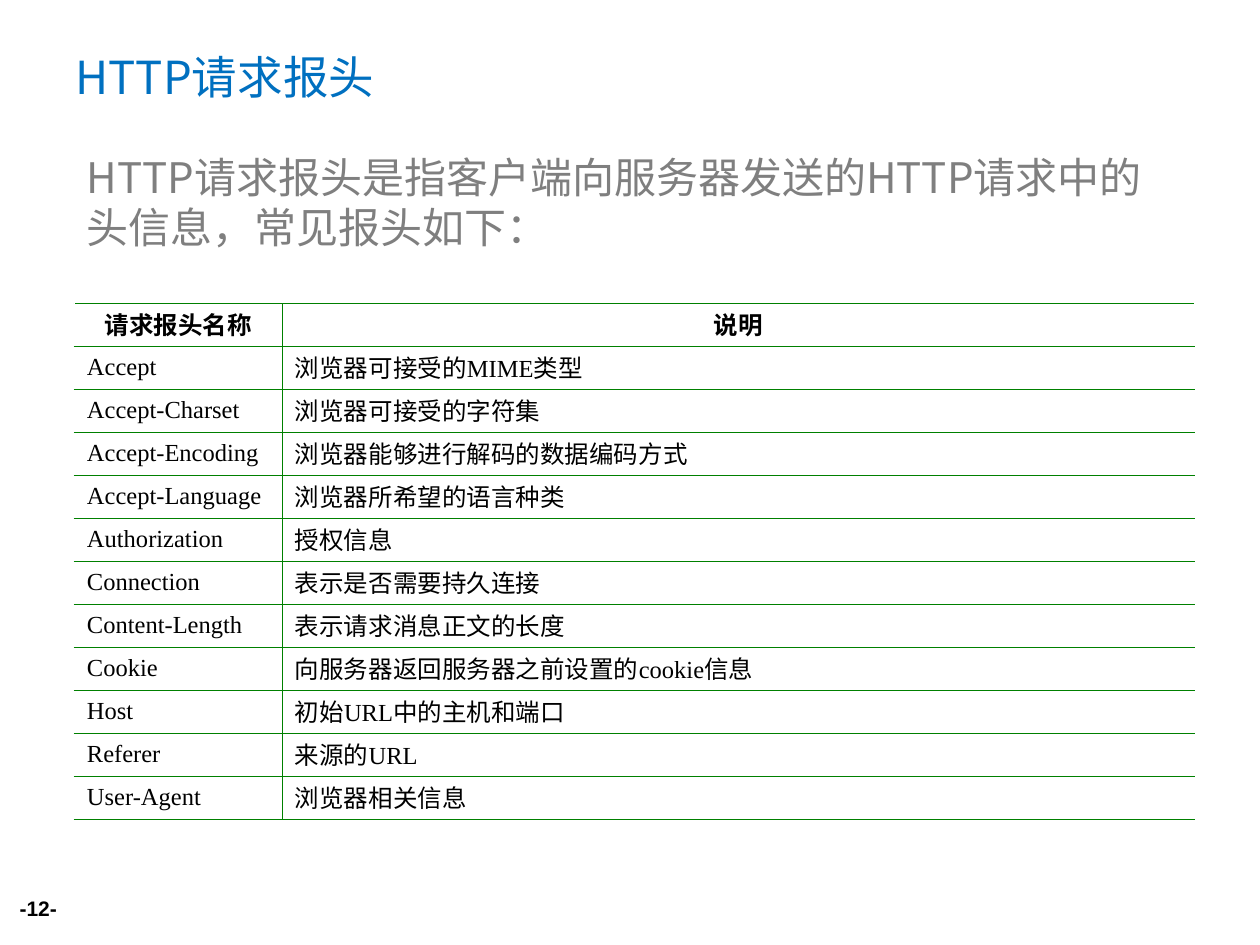
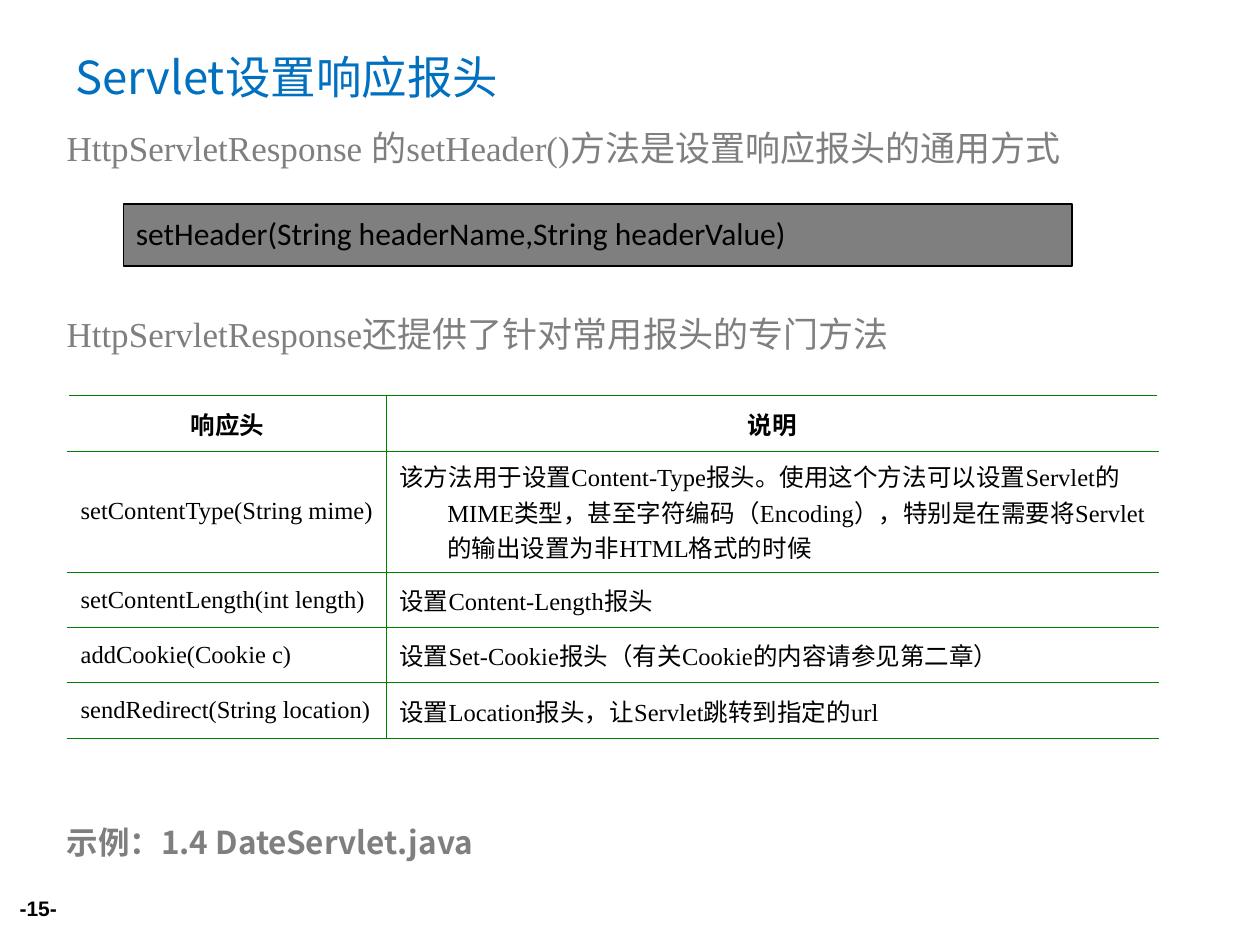
import pptx
import pptx.util
import pptx.dml.color
import pptx.enum.shapes
import pptx.enum.text
import pptx.oxml
import pptx.oxml.ns
from pptx.util import Inches

TITLE_BLUE = "0070C0"
GRAY = "7F7F7F"
BLACK = "000000"
RULE_GREEN = "008000"
SANS = "Noto Sans CJK SC"
SERIF = "Times New Roman"
ALIGN = pptx.enum.text.PP_ALIGN
ANCHOR = pptx.enum.text.MSO_ANCHOR


def color(hex_string):
    return pptx.dml.color.RGBColor.from_string(hex_string)


def write(holder, text, size, font=SANS, ink=BLACK, bold=False,
          align=ALIGN.LEFT, anchor=ANCHOR.TOP, spacing=1.0, hanging=0):
    frame = holder.text_frame
    frame.word_wrap = True
    # Table cells and shapes both carry their own vertical anchor
    anchored = frame if hasattr(holder, "shape_type") else holder
    anchored.vertical_anchor = anchor
    paragraph = frame.paragraphs[0]
    paragraph.alignment = align
    paragraph.line_spacing = spacing
    if hanging:
        properties = paragraph._p.get_or_add_pPr()
        properties.set("marL", str(Inches(hanging)))
        properties.set("indent", str(-Inches(hanging)))
    run = paragraph.add_run()
    run.text = text
    run.font.size = pptx.util.Pt(size)
    run.font.name = font
    run.font.bold = bold
    run.font.color.rgb = color(ink)
    east_asian = pptx.oxml.parse_xml(
        f'<a:ea {pptx.oxml.ns.nsdecls("a")} typeface="{SANS}"/>')
    run.font._element.find(pptx.oxml.ns.qn("a:latin")).addnext(east_asian)


presentation = pptx.Presentation()
presentation.slide_width = Inches(10)
presentation.slide_height = Inches(7.5)

request_rows = [
    ("请求报头名称", "说明"),
    ("Accept", "浏览器可接受的MIME类型"),
    ("Accept-Charset", "浏览器可接受的字符集"),
    ("Accept-Encoding", "浏览器能够进行解码的数据编码方式"),
    ("Accept-Language", "浏览器所希望的语言种类"),
    ("Authorization", "授权信息"),
    ("Connection", "表示是否需要持久连接"),
    ("Content-Length", "表示请求消息正文的长度"),
    ("Cookie", "向服务器返回服务器之前设置的cookie信息"),
    ("Host", "初始URL中的主机和端口"),
    ("Referer", "来源的URL"),
    ("User-Agent", "浏览器相关信息"),
]
response_rows = [
    ("响应头", "说明"),
    ("setContentType(String mime)",
     "该方法用于设置Content-Type报头。使用这个方法可以设置Servlet的MIME类型，"
     "甚至字符编码（Encoding），特别是在需要将Servlet的输出设置为非HTML格式的时候"),
    ("setContentLength(int length)", "设置Content-Length报头"),
    ("addCookie(Cookie c)", "设置Set-Cookie报头（有关Cookie的内容请参见第二章）"),
    ("sendRedirect(String location)", "设置Location报头，让Servlet跳转到指定的url"),
]

# Each body line: text, (left, top, width, height), format
pages = [
    {
        "title": "HTTP请求报头", "number": "-12-",
        "body": [
            ("HTTP请求报头是指客户端向服务器发送的HTTP请求中的头信息，常见报头如下：",
             (0.59, 1.15, 8.74, 0.9), {"size": 24}),
        ],
        "rows": request_rows, "corner": (0.59, 2.41), "columns": (1.65, 7.24),
        "heights": [4.1 / len(request_rows)] * len(request_rows),
        "cell_format": {"spacing": 0.85},
    },
    {
        "title": "Servlet设置响应报头", "number": "-15-",
        "body": [
            ("HttpServletResponse 的setHeader()方法是设置响应报头的通用方式",
             (0.43, 0.99, 9.57, 0.5), {"size": 20, "font": SERIF, "spacing": 0.9}),
            ("HttpServletResponse还提供了针对常用报头的专门方法",
             (0.43, 2.47, 9.57, 0.5), {"size": 20, "font": SERIF, "spacing": 0.9}),
            ("示例：1.4 DateServlet.java",
             (0.43, 6.52, 9.57, 0.45), {"size": 18, "bold": True, "spacing": 0.9}),
        ],
        "rows": response_rows, "corner": (0.54, 3.14), "columns": (2.53, 6.12),
        "heights": [0.44, 0.96, 0.44, 0.44, 0.44], "cell_format": {"hanging": 0.38},
    },
]

for page in pages:
    slide = presentation.slides.add_slide(presentation.slide_layouts[6])

    # Title, body lines and page number
    texts = [(page["title"], (0.5, 0.3, 9, 0.61),
              {"size": 26, "ink": TITLE_BLUE, "anchor": ANCHOR.MIDDLE})]
    texts += [(text, place, {"ink": GRAY, **style}) for text, place, style in page["body"]]
    texts.append((page["number"], (0, 7.06, 0.55, 0.29),
                  {"size": 12, "font": "Arial", "bold": True,
                   "align": ALIGN.RIGHT, "anchor": ANCHOR.MIDDLE}))
    for text, place, style in texts:
        box = slide.shapes.add_textbox(*map(Inches, place))
        write(box, text, **style)

    # Header table
    rows, columns, heights = page["rows"], page["columns"], page["heights"]
    size = (sum(columns), sum(heights))
    table = slide.shapes.add_table(
        len(rows), len(columns), *map(Inches, page["corner"] + size)).table
    table.first_row = False
    table.horz_banding = False
    for column, width in zip(table.columns, columns):
        column.width = Inches(width)
    for row, height in zip(table.rows, heights):
        row.height = Inches(height)

    for row_index, row in enumerate(rows):
        is_header = row_index == 0
        is_last = row_index == len(rows) - 1
        for column_index, text in enumerate(row):
            cell = table.cell(row_index, column_index)
            cell.fill.background()
            write(cell, text, 14, font=SERIF, bold=is_header,
                  align=ALIGN.CENTER if is_header else ALIGN.LEFT,
                  anchor=ANCHOR.MIDDLE, **page["cell_format"])
            # Green rules, open at the left and right edges
            borders = [
                ("lnR" if column_index == 0 else "lnL", 0.45),
                ("lnT", 0.75 if is_header else 0.45),
                ("lnB", 0.75 if is_last else 0.45),
            ]
            for position, (side, points) in enumerate(borders):
                border = pptx.oxml.parse_xml(
                    f'<a:{side} {pptx.oxml.ns.nsdecls("a")} w="{pptx.util.Pt(points)}">'
                    f'<a:solidFill><a:srgbClr val="{RULE_GREEN}"/></a:solidFill></a:{side}>')
                cell._tc.get_or_add_tcPr().insert(position, border)

# Method signature on the response slide
signature = slide.shapes.add_shape(
    pptx.enum.shapes.MSO_SHAPE.RECTANGLE,
    Inches(0.98), Inches(1.62), Inches(7.53), Inches(0.49))
signature.shadow.inherit = False
signature.fill.solid()
signature.fill.fore_color.rgb = color(GRAY)
signature.line.color.rgb = color(BLACK)
signature.line.width = pptx.util.Pt(1)
write(signature, "setHeader(String headerName,String headerValue)", 18,
      font="Calibri", anchor=ANCHOR.MIDDLE, spacing=0.9)

presentation.save("out.pptx")
